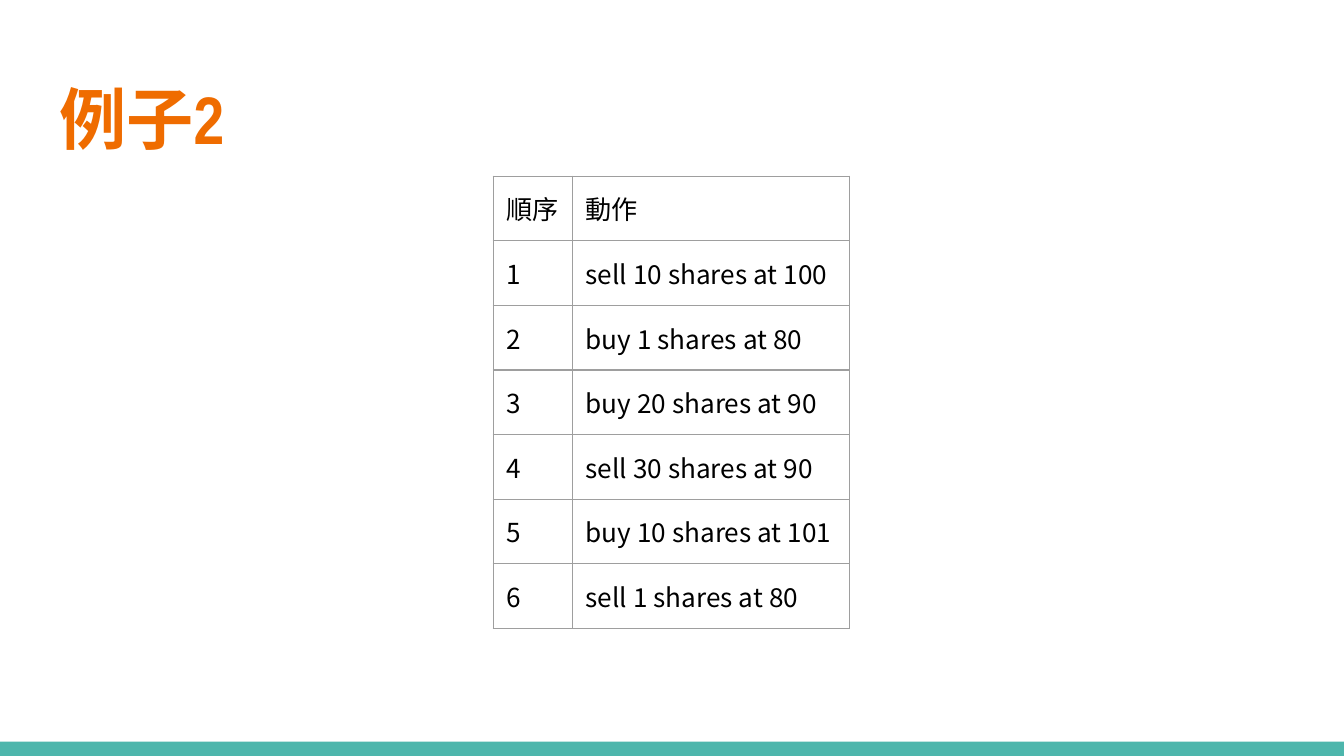
import dataclasses

import lxml.etree
import pptx
import pptx.dml.color
import pptx.enum.shapes
import pptx.enum.text
import pptx.oxml.ns
import pptx.util
from pptx.util import Cm


@dataclasses.dataclass(frozen=True)
class Theme:
    accent: str = "EF6C00"
    bar: str = "4DB6AC"
    ink: str = "000000"
    border: str = "9E9E9E"
    title_font: str = "Arial Narrow"
    body_font: str = "Noto Sans CJK TC"
    title_size: int = 36
    body_size: int = 14
    border_width: float = 0.75


theme = Theme()
qn = pptx.oxml.ns.qn


def write(frame, text, *, font, size, color, bold=False):
    para = frame.paragraphs[0]
    para.alignment = pptx.enum.text.PP_ALIGN.LEFT
    span = para.add_run()
    span.text = text
    span.font.name = font
    span.font.size = pptx.util.Pt(size)
    span.font.bold = bold
    span.font.color.rgb = pptx.dml.color.RGBColor.from_string(color)
    east_asian = lxml.etree.SubElement(span.font._element, qn("a:ea"))
    east_asian.set("typeface", theme.body_font)


def draw_borders(cell):
    properties = cell._tc.get_or_add_tcPr()
    for position, side in enumerate(("a:lnL", "a:lnR", "a:lnT", "a:lnB")):
        line = lxml.etree.Element(qn(side), w=str(pptx.util.Pt(theme.border_width)))
        fill = lxml.etree.SubElement(line, qn("a:solidFill"))
        lxml.etree.SubElement(fill, qn("a:srgbClr"), val=theme.border)
        properties.insert(position, line)


deck = pptx.Presentation()
deck.slide_width = Cm(25.4)
deck.slide_height = Cm(14.29)
page = deck.slides.add_slide(deck.slide_layouts[5])

bar = page.shapes.add_shape(
    pptx.enum.shapes.MSO_SHAPE.RECTANGLE, 0, Cm(14.02), deck.slide_width, Cm(0.27)
)
bar.shadow.inherit = False
bar.fill.solid()
bar.fill.fore_color.rgb = pptx.dml.color.RGBColor.from_string(theme.bar)
bar.line.fill.background()

title = page.shapes.title
title.left, title.top, title.width, title.height = Cm(0.87), Cm(1.24), Cm(23.67), Cm(1.96)
frame = title.text_frame
frame.margin_left = frame.margin_right = frame.margin_top = frame.margin_bottom = Cm(0.25)
frame.word_wrap = True
frame.auto_size = pptx.enum.text.MSO_AUTO_SIZE.NONE
frame.vertical_anchor = pptx.enum.text.MSO_ANCHOR.MIDDLE
write(frame, "例子2", font=theme.title_font, size=theme.title_size, color=theme.accent, bold=True)

actions = [
    "sell 10 shares at 100",
    "buy 1 shares at 80",
    "buy 20 shares at 90",
    "sell 30 shares at 90",
    "buy 10 shares at 101",
    "sell 1 shares at 80",
]
rows = [("順序", "動作")] + [(str(order), action) for order, action in enumerate(actions, 1)]
widths = [Cm(1.5), Cm(5.24)]
row_height = Cm(1.07)

table = page.shapes.add_table(
    len(rows), len(widths), Cm(9.32), Cm(3.33), sum(widths), row_height * len(rows)
).table
table.first_row = False
table.horz_banding = False
for column, width in zip(table.columns, widths):
    column.width = width
for row, texts in zip(table.rows, rows):
    row.height = row_height
    for cell, text in zip(row.cells, texts):
        cell.margin_left = cell.margin_right = cell.margin_top = cell.margin_bottom = Cm(0.25)
        cell.vertical_anchor = pptx.enum.text.MSO_ANCHOR.TOP
        cell.fill.background()
        draw_borders(cell)
        write(cell.text_frame, text, font=theme.body_font, size=theme.body_size, color=theme.ink)

deck.save("out.pptx")
